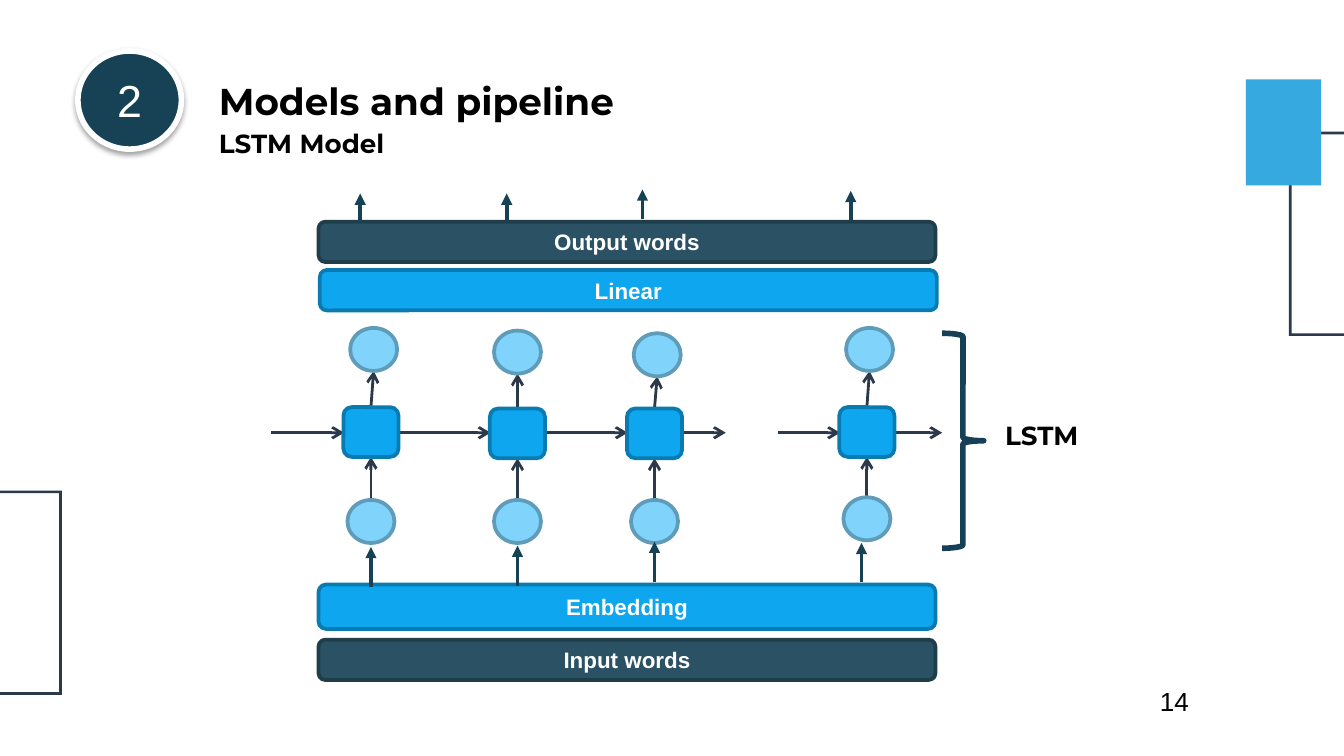
"""Build the LSTM model slide."""
from lxml.etree import SubElement
from pptx import Presentation
from pptx.dml.color import RGBColor
from pptx.enum.shapes import MSO_CONNECTOR, MSO_SHAPE as Kind
from pptx.enum.text import MSO_ANCHOR, MSO_AUTO_SIZE as Fit, PP_ALIGN
from pptx.oxml.ns import qn
from pptx.util import Inches, Pt

BLACK = RGBColor(0x00, 0x00, 0x00)
WHITE = RGBColor(0xFF, 0xFF, 0xFF)
NAVY = RGBColor(0x17, 0x41, 0x55)
BRACE = RGBColor(0x15, 0x40, 0x55)
INK = RGBColor(0x2B, 0x39, 0x4A)
SKY = RGBColor(0x35, 0xA9, 0xE0)
BLUE = RGBColor(0x0E, 0xA6, 0xEE)
BLUE_RIM = RGBColor(0x0A, 0x7B, 0xB0)
SLATE = RGBColor(0x2B, 0x52, 0x64)
SLATE_RIM = RGBColor(0x20, 0x3D, 0x4A)
PALE = RGBColor(0x80, 0xD3, 0xFA)
PALE_RIM = RGBColor(0x5F, 0x9C, 0xB9)

HEAD = {"name": "Montserrat", "size": Pt(20), "bold": True}
SUB = {**HEAD, "size": Pt(14)}
PAGE = {"name": "Arial", "size": Pt(14)}
LABEL = {"name": "Arial", "size": Pt(12), "bold": True}
BADGE = {"name": "Arial", "size": Pt(24)}

TEXTS = [
    ("14", (8.38, 5.05, 1.08, 0.44), PAGE, True, 0.25),
    ("Models and pipeline", (1.53, 0.53, 4.37, 0.44), HEAD, True, 0.1),
    ("LSTM Model", (1.53, 0.9, 1.45, 0.34), SUB, False, 0.1),
    ("LSTM", (7.38, 3.07, 0.75, 0.34), SUB, False, 0.1),
]
BARS = [
    ("Output words", 2.37, 1.65, 0.3, SLATE, SLATE_RIM),
    ("Linear", 2.38, 2.01, 0.3, BLUE, BLUE_RIM),
    ("Embedding", 2.37, 4.35, 0.33, BLUE, BLUE_RIM),
    ("Input words", 2.37, 4.76, 0.3, SLATE, SLATE_RIM),
]
STEPS = [
    {"mid": 2.76, "cell": 3.03, "low": 3.72, "top": (2.78, 2.44),
     "feed": (2.76, 4.37, 4.07), "out": (2.68, 1.66, 1.44)},
    {"mid": 3.85, "cell": 3.04, "low": 3.72, "top": (3.85, 2.46),
     "feed": (3.85, 4.36, 4.06), "out": (3.77, 1.65, 1.44)},
    {"mid": 4.87, "cell": 3.04, "low": 3.72, "top": (4.89, 2.48),
     "feed": (4.87, 4.33, 4.03), "out": (4.78, 1.63, 1.41)},
    {"mid": 6.45, "cell": 3.03, "low": 3.7, "top": (6.47, 2.44),
     "feed": (6.41, 4.33, 4.04), "out": (6.33, 1.64, 1.42)},
]
FLOWS = [(2.02, 2.56), (2.97, 3.65), (4.05, 4.67),
         (5.07, 5.4), (5.79, 6.25), (6.66, 7.01)]
FLOW_Y = 3.22
CELL = (0.41, 0.37)
NODE = (0.35, 0.32)
BAR_W = 4.59
FRAMES = [(9.59, 0.98), (-0.84, 3.65)]
FRAME = (1.3, 1.52)
EDGE = 0.02
WIDE = 10


def style(font, look, color):
    for key, value in look.items():
        setattr(font, key, value)
    font.color.rgb = color


def shape(kind, box, fill=None, rim=None, width=2, text="", look=LABEL):
    item = slide.shapes.add_shape(kind, *map(Inches, box))
    item.shadow.inherit = False
    if fill is None:
        item.fill.background()
    else:
        item.fill.solid()
        item.fill.fore_color.rgb = fill
    if rim is None:
        item.line.fill.background()
    else:
        item.line.color.rgb = rim
        item.line.width = Pt(width)
    if text:
        frame = item.text_frame
        frame.vertical_anchor = MSO_ANCHOR.MIDDLE
        para = frame.paragraphs[0]
        para.text = text
        para.alignment = PP_ALIGN.CENTER
        style(para.font, look, WHITE)
    return item


def write(text, box, look, wrap, inset):
    frame = slide.shapes.add_textbox(*map(Inches, box)).text_frame
    form = {"word_wrap": wrap, "margin_left": Inches(inset),
            "auto_size": Fit.NONE if look is PAGE else Fit.SHAPE_TO_FIT_TEXT}
    for key, value in form.items():
        setattr(frame, key, value)
    para = frame.paragraphs[0]
    para.text = text
    style(para.font, look, BLACK)


def arrow(start, end, color=INK, width=1.5, tip="arrow"):
    link = slide.shapes.add_connector(
        MSO_CONNECTOR.STRAIGHT, *map(Inches, start + end))
    link.line.color.rgb = color
    link.line.width = Pt(width)
    props = link._element.spPr
    SubElement(props.find(qn("a:ln")), qn("a:tailEnd"), type=tip)
    SubElement(props, qn("a:effectLst"))


def corners(x, y, w, h):
    spots = [(x, y), (x + w, y), (x + w, y + h), (x, y + h)]
    return [(Inches(a), Inches(b)) for a, b in spots]


def border(x, y):
    w, h = FRAME
    outer = corners(x, y, w, h)
    inner = corners(x + EDGE, y + EDGE, w - 2 * EDGE, h - 2 * EDGE)[::-1]
    pen = slide.shapes.build_freeform(*outer[0])
    pen.add_line_segments(outer[1:])
    pen.move_to(*inner[0])
    pen.add_line_segments(inner[1:])
    item = pen.convert_to_shape()
    item.shadow.inherit = False
    item.fill.solid()
    item.fill.fore_color.rgb = INK
    item.line.fill.background()


def badge():
    item = shape(Kind.OVAL, (0.58, 0.38, 0.77, 0.73),
                 NAVY, WHITE, 3, "2", BADGE)
    effects = item._element.spPr.find(qn("a:effectLst"))
    glow = SubElement(effects, qn("a:outerShdw"), blurRad=str(Pt(3.1)),
                      dist=str(Pt(1.6)), dir="5400000", rotWithShape="0")
    tint = SubElement(glow, qn("a:srgbClr"), val=str(BLACK))
    SubElement(tint, qn("a:alpha"), val="38000")


deck = Presentation()
deck.slide_width, deck.slide_height = Inches(WIDE), Inches(WIDE * 9 / 16)
slide = deck.slides.add_slide(deck.slide_layouts[6])

for spot in FRAMES:
    border(*spot)
shape(Kind.RECTANGLE, (9.27, 0.59, 0.56, 0.79), SKY)
badge()
for row in TEXTS:
    write(*row)
shape(Kind.RIGHT_BRACE, (7.01, 2.48, 0.31, 1.6), None, BRACE, 3)
for text, x, y, h, fill, rim in BARS:
    shape(Kind.ROUNDED_RECTANGLE, (x, y, BAR_W, h), fill, rim, text=text)
for start, end in FLOWS:
    arrow((start, FLOW_Y), (end, FLOW_Y))
for step in STEPS:
    mid, cell, low = step["mid"], step["cell"], step["low"]
    peak, top = step["top"]
    arrow((mid, low), (mid, cell + CELL[1]))
    arrow((mid, cell), (peak, top + NODE[1]))
    shape(Kind.ROUNDED_RECTANGLE, (mid - CELL[0] / 2, cell, *CELL),
          BLUE, BLUE_RIM)
    for x, y in ((mid, low), (peak, top)):
        shape(Kind.OVAL, (x - NODE[0] / 2, y, *NODE), PALE, PALE_RIM)
    for x, start, end in (step["feed"], step["out"]):
        arrow((x, start), (x, end), NAVY, 2, "triangle")

deck.save("out.pptx")
